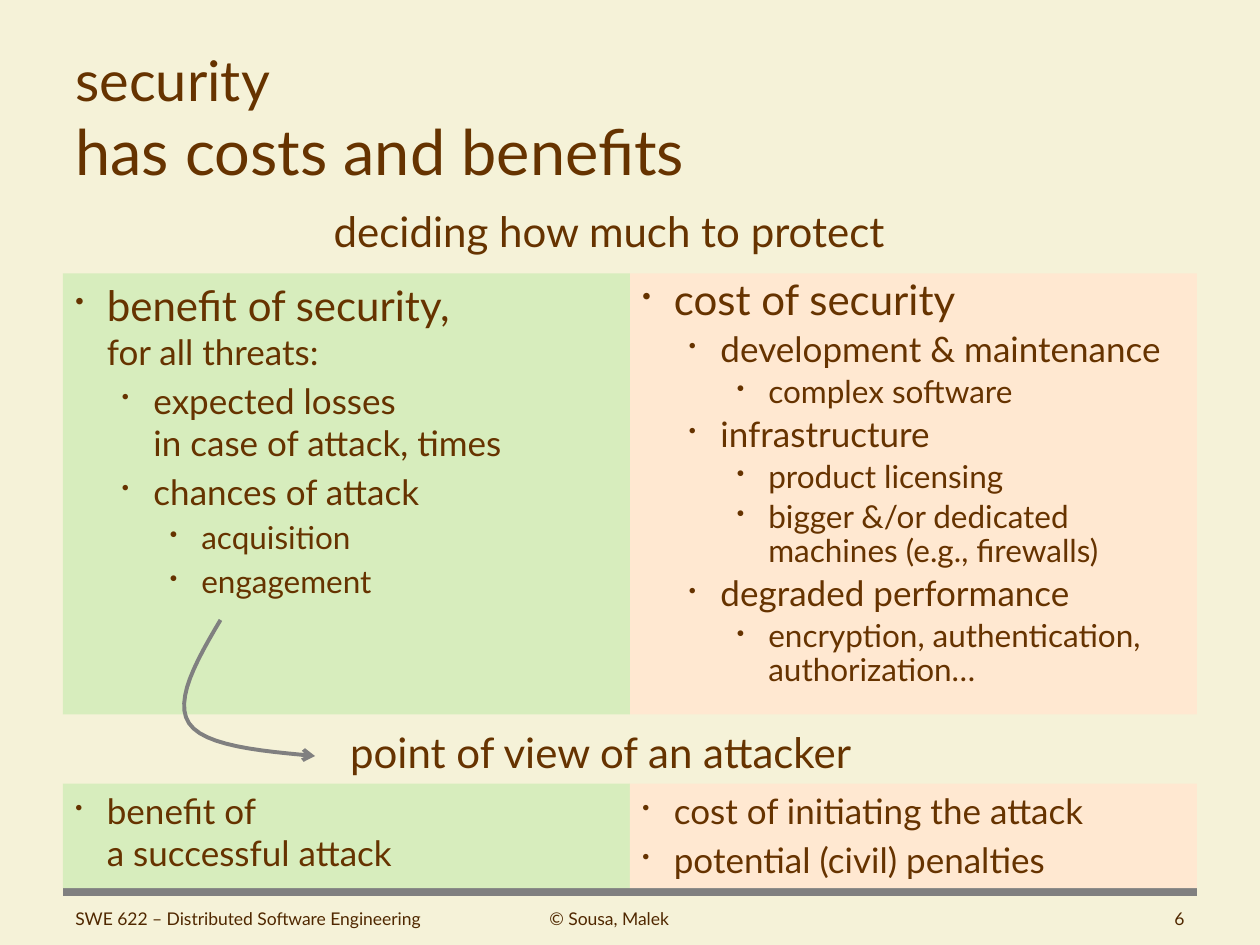
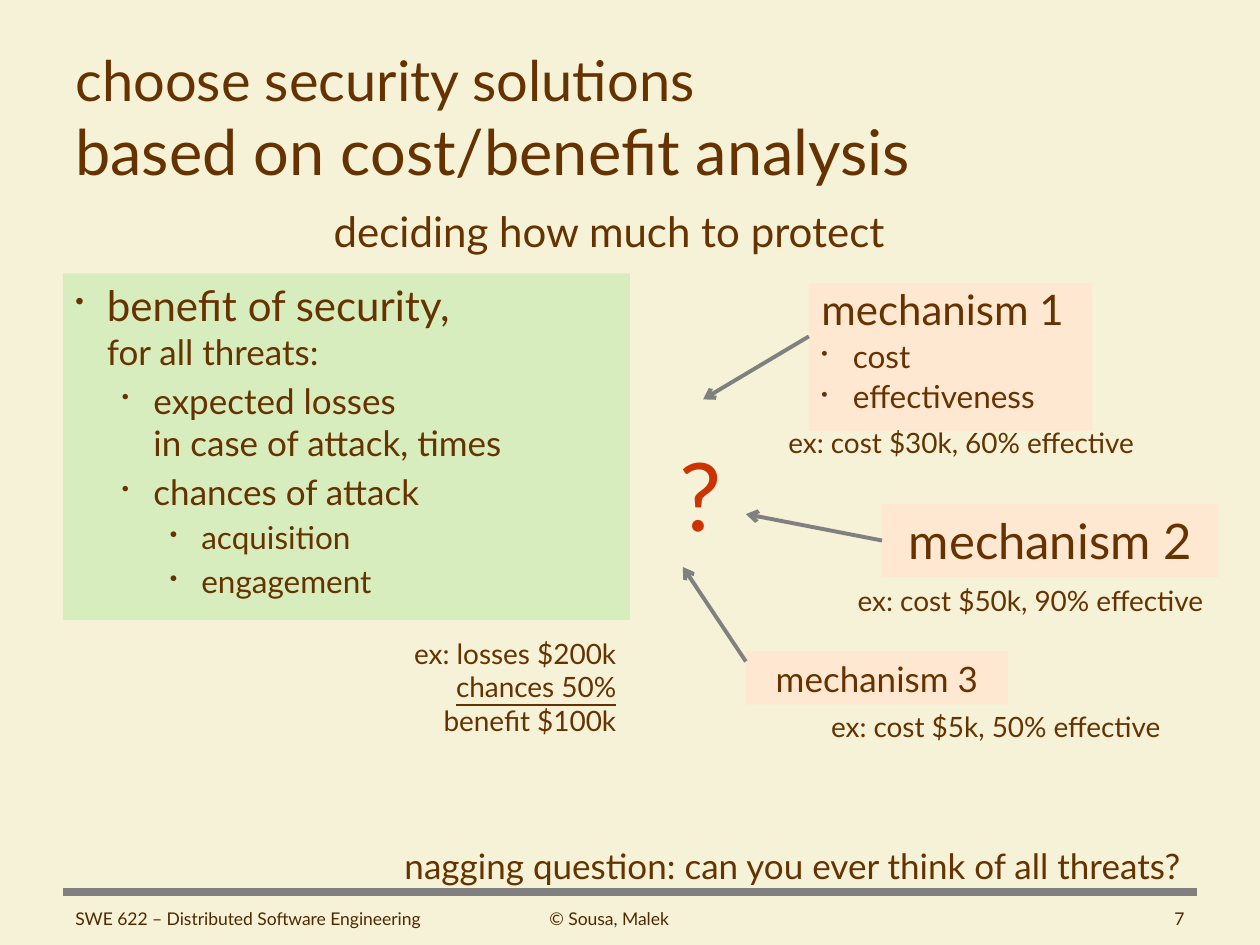
from lxml.etree import SubElement
from pptx import Presentation
from pptx.dml.color import RGBColor
from pptx.enum.shapes import MSO_CONNECTOR, MSO_SHAPE
from pptx.enum.text import MSO_ANCHOR, MSO_AUTO_SIZE, PP_ALIGN
from pptx.oxml.ns import qn
from pptx.util import Inches, Pt

BACK, BROWN, DARK = "F5F2D8", "663300", "502800"
GREEN, PEACH, GRAY, RED = "D7EDBD", "FFE8D1", "808080", "CC3300"
FONT = "Lato"
LEFT, CENTER, RIGHT = PP_ALIGN.LEFT, PP_ALIGN.CENTER, PP_ALIGN.RIGHT

# Indent in inches and bullet size in percent, by level
INDENT = (0.25, 0.62, 1)
BULLET = (60, 60, 70)

BENEFIT = [
    (0, [("benefit of security,\n", 24), ("for all threats:", 20)]),
    (1, [("expected losses\nin case of attack, times", 20)]),
    (1, [("chances of attack", 20)]),
    (2, [("acquisition", 18)]),
    (2, [("engagement", 18)]),
]
COST = [
    (0, [("cost of security", 24)]),
    (1, [("development & maintenance", 20)]),
    (2, [("complex software", 18)]),
    (1, [("infrastructure", 20)]),
    (2, [("product licensing", 18)]),
    (2, [("bigger &/or dedicated\nmachines (e.g., firewalls)", 18)]),
    (1, [("degraded performance", 20)]),
    (2, [("encryption, authentication, authorization…", 18)]),
]
GAIN = [(0, [("benefit of\na successful attack", 20)])]
RISK = [(0, [("cost of initiating the attack", 20)]),
        (0, [("potential (civil) penalties", 20)])]


def color(code):
    return RGBColor.from_string(code)


def curve(start, *parts, steps=12):
    """Points along a chain of cubic Bezier parts."""
    points = [start]
    for b, c, d in parts:
        a = points[-1]
        for i in range(1, steps + 1):
            t = i / steps
            u = 1 - t
            points.append(tuple(
                u**3 * p + 3 * u * u * t * q + 3 * u * t * t * r + t**3 * s
                for p, q, r, s in zip(a, b, c, d)))
    return points


class Deck:
    def __init__(self):
        self.show = Presentation()
        self.show.slide_width, self.show.slide_height = Inches(10), Inches(7.5)
        self.slide = None

    def page(self, title, number):
        """Start a slide with the background, title, footer and rule."""
        self.slide = self.show.slides.add_slide(self.show.slide_layouts[6])
        fill = self.slide.background.fill
        fill.solid()
        fill.fore_color.rgb = color(BACK)
        self.line((0.5, 7.08), (9.5, 7.08), 4.5, arrow=False)
        for at, text, align in (
                ((0.5, 7.16, 3.17, 0.34), "SWE 622 – Distributed Software Engineering", LEFT),
                ((3.67, 7.16, 2.33, 0.33), "© Sousa, Malek", CENTER),
                ((6, 7.16, 3.5, 0.33), str(number), RIGHT)):
            self.text(at, text, 10, align, wrap=True, tint=DARK)
        first, second = title
        frame = self.frame((0.5, 0.3, 9, 1.25), wrap=True)
        frame.vertical_anchor = MSO_ANCHOR.MIDDLE
        self.runs(frame.paragraphs[0], [(first + "\n", 32), (second, 36)])
        self.text((2.55, 1.58, 4.79, 0.5), "deciding how much to protect", 24)

    def frame(self, at, wrap):
        box = self.slide.shapes.add_textbox(*map(Inches, at))
        box.text_frame.word_wrap = wrap
        return box.text_frame

    def runs(self, para, pieces, tint=BROWN, **extra):
        """Add (text, size) pieces; a newline becomes a line break."""
        for text, size in pieces:
            style = {"name": FONT, "size": Pt(size), **extra}
            for i, part in enumerate(text.split("\n")):
                if i:
                    para.add_line_break()
                if part:
                    run = para.add_run()
                    run.text = part
                    run.font.color.rgb = color(tint)
                    for key, value in style.items():
                        setattr(run.font, key, value)

    def text(self, at, text, size, align=LEFT, wrap=False, tint=BROWN, under=None):
        """Plain text, one paragraph a line; the line numbered under is underlined."""
        frame = self.frame(at, wrap)
        if not wrap:
            frame.auto_size = MSO_AUTO_SIZE.SHAPE_TO_FIT_TEXT
        for i, row in enumerate(text.split("\n")):
            para = frame.add_paragraph() if i else frame.paragraphs[0]
            para.alignment = align
            extra = {"underline": True} if i == under else {}
            self.runs(para, [(row, size)], tint, **extra)

    def panel(self, at, fill, rows, align=LEFT, space=None, plain=False):
        """Filled box of (level, pieces) rows; plain leaves the first unbulleted."""
        box = self.slide.shapes.add_shape(MSO_SHAPE.RECTANGLE, *map(Inches, at))
        box.shadow.inherit = False
        box.fill.solid()
        box.fill.fore_color.rgb = color(fill)
        box.line.fill.background()
        frame = box.text_frame
        frame.word_wrap = True
        frame.vertical_anchor = MSO_ANCHOR.TOP
        for i, (level, pieces) in enumerate(rows):
            para = frame.add_paragraph() if i else frame.paragraphs[0]
            para.alignment, para.level = align, level
            if space:
                para.line_spacing = space
            self.bullet(para, level, not (plain and i == 0))
            self.runs(para, pieces)
        return box

    def bullet(self, para, level, mark):
        """Hanging indent, 20% space before, and the bullet mark."""
        props = para._p.get_or_add_pPr()
        props.set("marL", str(Inches(INDENT[level])))
        props.set("indent", str(Inches(-0.25)))
        gap = SubElement(props, qn("a:spcBef"))
        SubElement(gap, qn("a:spcPct"), val="20000")
        if mark:
            SubElement(props, qn("a:buSzPct"), val=str(BULLET[level] * 1000))
            SubElement(props, qn("a:buChar"), char="•")
        else:
            SubElement(props, qn("a:buNone"))

    def stroke(self, item, width, arrow):
        item.line.color.rgb = color(GRAY)
        item.line.width = Pt(width)
        if arrow:
            SubElement(item.line._get_or_add_ln(), qn("a:tailEnd"), type="arrow")

    def line(self, start, end, width=2.25, arrow=True):
        link = self.slide.shapes.add_connector(
            MSO_CONNECTOR.STRAIGHT, *map(Inches, start + end))
        self.stroke(link, width, arrow)
        SubElement(link._element.spPr, qn("a:effectLst"))
        return link

    def bend(self, points):
        """Open curved arrow."""
        first, *rest = [tuple(map(Inches, p)) for p in points]
        build = self.slide.shapes.build_freeform(*first)
        build.add_line_segments(rest, close=False)
        item = build.convert_to_shape()
        item.shadow.inherit = False
        item.fill.background()
        self.stroke(item, 2.25, True)


def costs(deck):
    deck.page(("security", "has costs and benefits"), 6)
    # Defender: benefit against cost
    deck.panel((5, 2.17, 4.5, 3.5), PEACH, COST, space=0.9)
    deck.panel((0.5, 2.17, 4.5, 3.5), GREEN, BENEFIT)
    # Attacker: benefit against cost
    deck.text((2.68, 5.72, 4.28, 0.51), "point of view of an attacker", 24)
    deck.panel((0.5, 6.22, 4.5, 0.83), GREEN, GAIN)
    deck.panel((5, 6.22, 4.5, 0.83), PEACH, RISK)
    deck.bend(curve((1.75, 4.92),
                    ((1.56, 5.24), (1.38, 5.56), (1.5, 5.74)),
                    ((1.62, 5.92), (2.06, 5.96), (2.5, 6))))


def choice(deck):
    deck.page(("choose security solutions", "based on cost/benefit analysis"), 7)
    deck.panel((0.5, 2.17, 4.5, 2.75), GREEN, BENEFIT)
    deck.text((1.33, 6.65, 8.14, 0.43),
              "nagging question: can you ever think of all threats?", 20, RIGHT, wrap=True)
    # Mechanisms
    deck.panel((6.42, 2.25, 2.25, 1.17), PEACH,
               [(0, [("mechanism 1", 24)]), (0, [("cost", 18)]),
                (0, [("effectiveness", 18)])], space=0.9, plain=True)
    second = deck.panel((7, 4, 2.67, 0.58), PEACH, [(0, [("mechanism 2", 28)])],
                        CENTER, plain=True)
    deck.panel((5.92, 5.17, 2.08, 0.42), PEACH, [(0, [("mechanism 3", 20)])],
               CENTER, plain=True)
    # Arrows to the open question
    deck.text((5.25, 3.42, 0.58, 1), "?", 54, RIGHT, wrap=True, tint=RED)
    deck.line((6.42, 2.67), (5.58, 3.17))
    deck.line((7, 4.29), (5.92, 4.08)).begin_connect(second, 1)
    deck.line((5.92, 5.25), (5.42, 4.5))
    # Worked examples
    deck.text((3.15, 5, 1.84, 0.91), "ex: losses $200k\nchances 50%\nbenefit $100k",
              16, RIGHT, under=1)
    for left, top, width, deal in ((6.06, 3.33, 3.04, "$30k, 60%"),
                                   (6.61, 4.58, 3.04, "$50k, 90%"),
                                   (6.4, 5.58, 2.91, "$5k, 50%")):
        deck.text((left, top, width, 0.37), f"ex: cost {deal} effective", 16, RIGHT)


def main():
    deck = Deck()
    costs(deck)
    choice(deck)
    deck.show.save("out.pptx")


if __name__ == "__main__":
    main()
